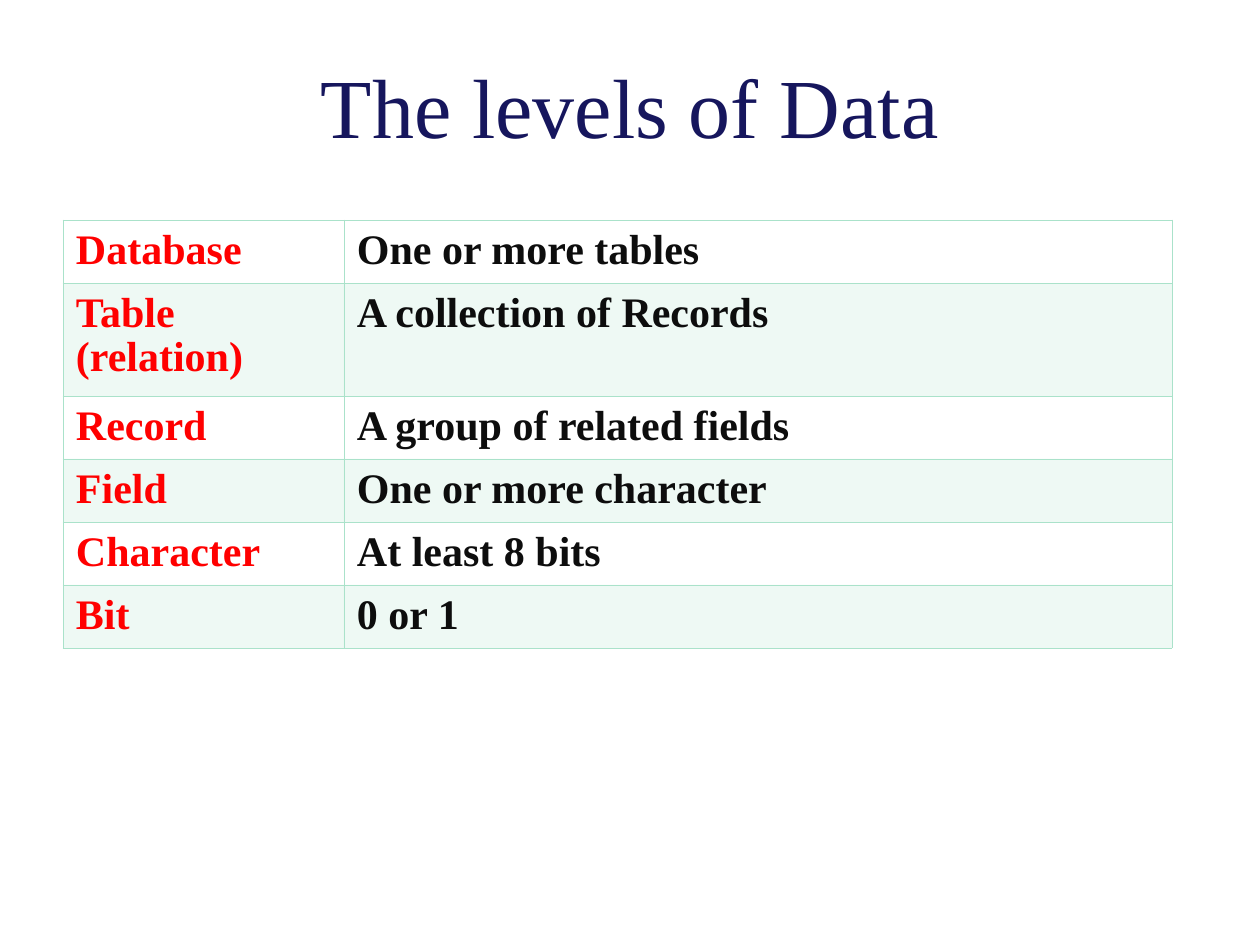
from lxml import etree
from pptx import Presentation
from pptx.dml.color import RGBColor
from pptx.enum.text import MSO_ANCHOR, PP_ALIGN
from pptx.oxml.ns import qn
from pptx.util import Pt

TOP, CENTER = MSO_ANCHOR.TOP, PP_ALIGN.CENTER
PX = 914400 / 126
FONT = "Times New Roman"
COLORS = {"title": "16165D", "level": "FF0000", "meaning": "0D0D0D", "mint": "AAE2CA"}
LEVELS = [
    ("Database", "One or more tables"),
    ("Table (relation)", "A collection of Records"),
    ("Record", "A group of related fields"),
    ("Field", "One or more character"),
    ("Character", "At least 8 bits"),
    ("Bit", "0 or 1"),
]
COLUMN_WIDTHS = [281, 828]
ROW_HEIGHTS = [63, 113, 63, 63, 63, 63]


def px(*lengths):
    return [round(length * PX) for length in lengths]


def add_span(para, text, size, color, bold=False):
    span = para.add_run()
    span.text = text
    span.font.name = FONT
    span.font.size = Pt(size)
    span.font.bold = bold
    span.font.color.rgb = RGBColor.from_string(COLORS[color])


deck = Presentation()
deck.slide_width, deck.slide_height = px(1260, 945)
page = deck.slides.add_slide(deck.slide_layouts[6])

# Title
box = page.shapes.add_textbox(*px(63, 38, 1134, 157))
frame = box.text_frame
frame.word_wrap = True
frame.vertical_anchor = TOP
frame.margin_top = px(17)[0]
para = frame.paragraphs[0]
para.alignment = CENTER
add_span(para, "The levels of Data", 48, "title")

# Table of levels
table = page.shapes.add_table(
    len(LEVELS), 2, *px(63, 220, sum(COLUMN_WIDTHS), sum(ROW_HEIGHTS))
).table
table.first_row = False
table.horz_banding = False
for column, width in zip(table.columns, px(*COLUMN_WIDTHS)):
    column.width = width
for row, height in zip(table.rows, px(*ROW_HEIGHTS)):
    row.height = height

for row_index, texts in enumerate(LEVELS):
    for column_index, (text, color) in enumerate(zip(texts, ("level", "meaning"))):
        cell = table.cell(row_index, column_index)
        cell.margin_left, cell.margin_top, cell.margin_right, cell.margin_bottom = px(13, 9, 13, 6)
        para = cell.text_frame.paragraphs[0]
        para.line_spacing = 0.95
        add_span(para, text, 24, color, bold=True)

        # Thin mint borders
        properties = cell._tc.get_or_add_tcPr()
        for side in ("a:lnL", "a:lnR", "a:lnT", "a:lnB"):
            line = etree.SubElement(properties, qn(side), w=str(Pt(0.45)))
            paint = etree.SubElement(line, qn("a:solidFill"))
            etree.SubElement(paint, qn("a:srgbClr"), val=COLORS["mint"])

        # Every second row has a pale tint
        if row_index % 2:
            cell.fill.solid()
            cell.fill.fore_color.rgb = RGBColor.from_string(COLORS["mint"])
            tint = properties.find(qn("a:solidFill")).find(qn("a:srgbClr"))
            etree.SubElement(tint, qn("a:alpha"), val="20000")
        else:
            cell.fill.background()

deck.save("out.pptx")
